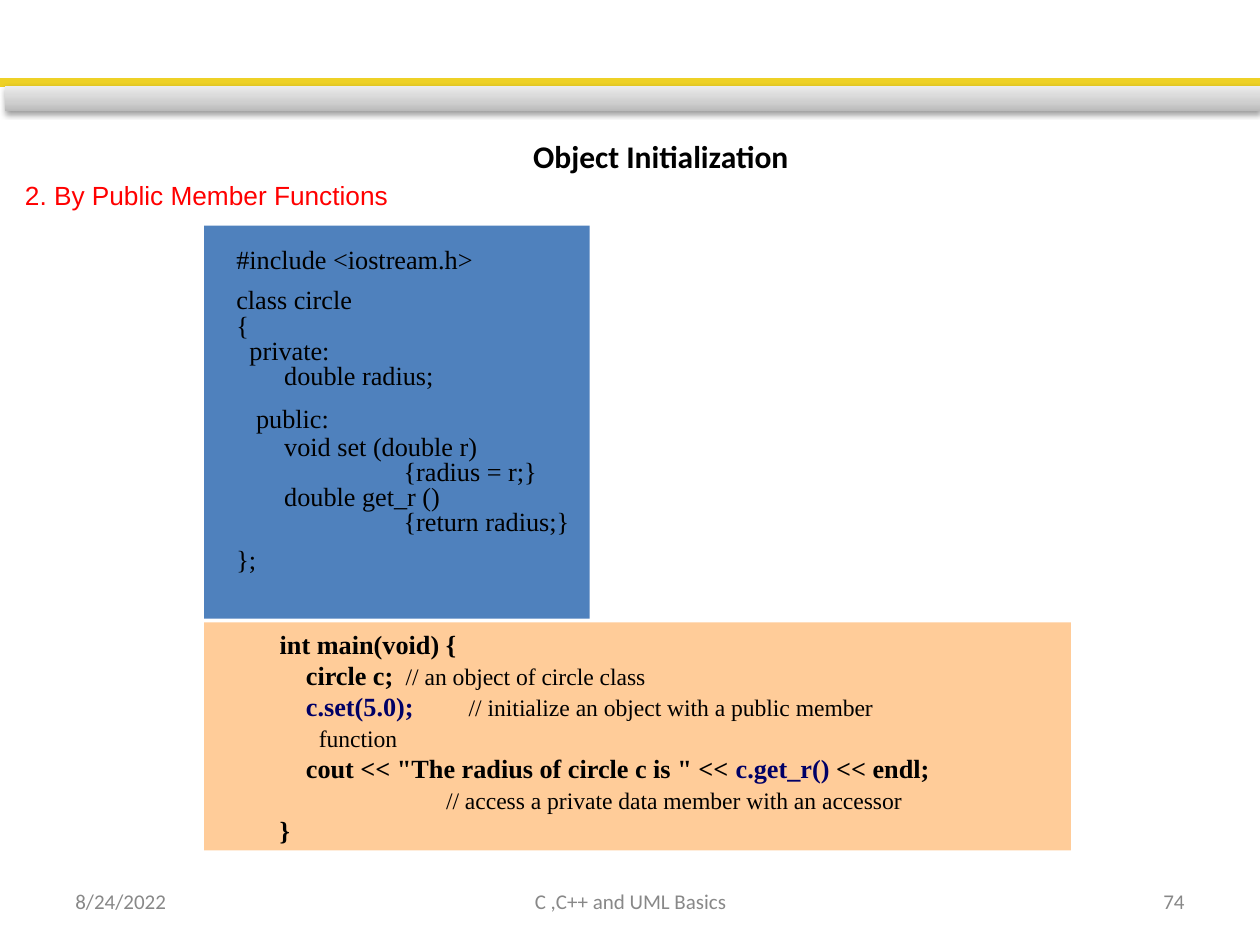
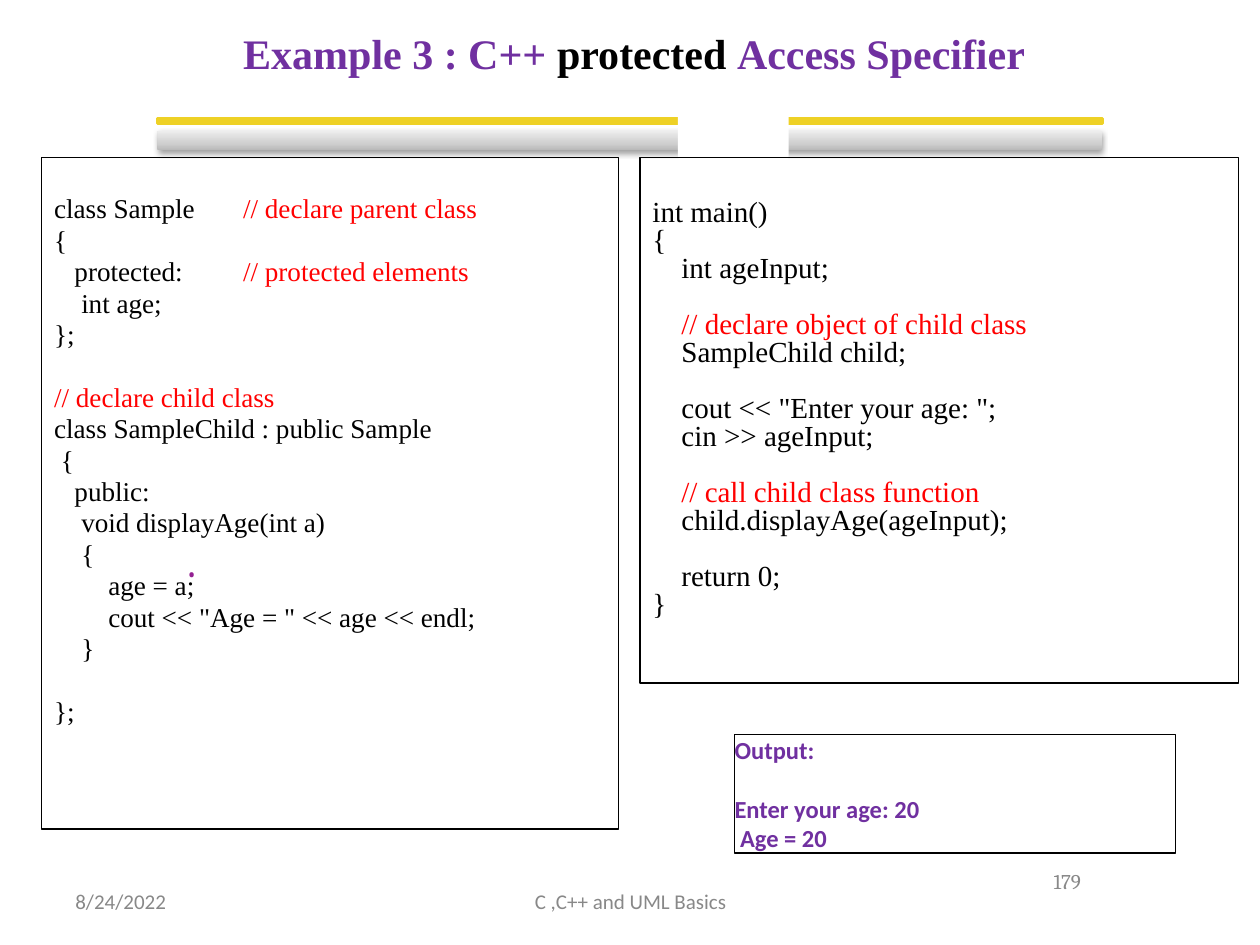
from lxml import etree
from pptx import Presentation, util as u
from pptx.dml.color import RGBColor
from pptx.enum import shapes, text
from pptx.oxml import parse_xml
from pptx.oxml.ns import nsdecls, qn

WIDE, HIGH = u.Inches(10), u.Inches(7.5)
RECT, ROUND = shapes.MSO_SHAPE.RECTANGLE, shapes.MSO_SHAPE.ROUNDED_RECTANGLE
LEFT, MID, RIGHT = text.PP_ALIGN.LEFT, text.PP_ALIGN.CENTER, text.PP_ALIGN.RIGHT
TOP, CENTER = text.MSO_ANCHOR.TOP, text.MSO_ANCHOR.MIDDLE
BLACK, WHITE, RED, GOLD = "000000", "FFFFFF", "FF0000", "EED126"
BLUE, PEACH, NAVY, PLUM, GREY = "4F81BD", "FFCC99", "000066", "7030A0", "888888"
SERIF, SANS = "Times New Roman", "Calibri"
PAD = (0.1, 0.05, 0.1, 0.05)
BARE = (0, 0, 0, 0)
NOTE = {"color": BLACK, "size": 13.5, "bold": False}
CALL = {"color": NAVY}
HINT = {"color": RED}

CLASS = [
    {"runs": "   #include <iostream.h>"},
    {"runs": "   class circle", "gap": 8.5},
    {"runs": "   {", "gap": 0.5},
    {"runs": "     private:"},
    {"runs": "   double radius;", "left": 0.38},
    {"runs": [("     ", {"size": 18}), ("public:", {})], "gap": 10.8},
    {"runs": "   void set (double r)", "left": 0.38, "gap": 1},
    {"runs": "  {radius = r;}", "left": 1.38},
    {"runs": "   double get_r ()", "left": 0.38},
    {"runs": "  {return radius;}", "left": 1.38},
    {"runs": "   };", "gap": 7.4},
]
MAIN = [
    {"runs": "int main(void) {"},
    {"runs": [("    circle c;\t", {}), ("// an object of circle class", NOTE)], "tab": 2.32},
    {"runs": [("    ", {}), ("c.set(5.0);\t", CALL),
              ("// initialize an object with a public member", NOTE)], "tab": 2.32},
    {"runs": [("function", NOTE)], "left": 0.31},
    {"runs": [("    cout << \"The radius of circle c is \" << ", {}),
              ("c.get_r()", CALL), (" << endl;", {})]},
    {"runs": [("// access a private data member with an accessor", NOTE)], "left": 1.32},
    {"runs": "}"},
]
CHILD = [
    {"runs": [("class Sample\t", {}), ("// declare parent class", HINT)], "tab": 1.71},
    {"runs": "{"},
    {"runs": [("   protected:\t", {}), ("// protected elements", HINT)], "tab": 1.56},
    {"runs": "    int age;"},
    {"runs": "};"},
    {"runs": [("// declare child class", HINT)], "gap": 17.95},
    {"runs": "class SampleChild : public Sample"},
    {"runs": " {"},
    {"runs": "   public:"},
    {"runs": "    void displayAge(int a)"},
    {"runs": "    {"},
    {"runs": "        age = a;"},
    {"runs": "        cout << \"Age = \" << age << endl;"},
    {"runs": "    }"},
    {"runs": "};", "gap": 17.95},
]
DRIVE = [
    {"runs": "int main()"},
    {"runs": "{"},
    {"runs": "    int ageInput;"},
    {"runs": [("    // declare object of child class", HINT)], "gap": 16},
    {"runs": "    SampleChild child;"},
    {"runs": "    cout << \"Enter your age: \";", "gap": 16},
    {"runs": "    cin >> ageInput;"},
    {"runs": [("    // call child class function", HINT)], "gap": 16},
    {"runs": "    child.displayAge(ageInput);"},
    {"runs": "    return 0;", "gap": 16},
    {"runs": "}"},
]
RESULT = [
    {"runs": "Output:"},
    {"runs": "Enter your age: 20", "gap": 17},
    {"runs": " Age = 20"},
]


def tint(code):
    return RGBColor.from_string(code)


def area(left, top, width, height):
    return [int(WIDE * left / 100), int(HIGH * top / 100),
            int(WIDE * width / 100), int(HIGH * height / 100)]


def place(item, spot):
    for name, size in zip(("left", "top", "width", "height"), area(*spot)):
        setattr(item, name, size)
    return item


def paint(item, fill=None, line=None, weight=0.75):
    if fill:
        item.fill.solid()
        item.fill.fore_color.rgb = tint(fill)
    else:
        item.fill.background()
    if line:
        item.line.color.rgb = tint(line)
        item.line.width = u.Pt(weight)
    else:
        item.line.fill.background()
    return item


def block(slide, spot, kind=RECT, **look):
    item = slide.shapes.add_shape(kind, *area(*spot))
    item.shadow.inherit = False
    return paint(item, **look)


def style(font, form):
    for name, value in form.items():
        if name == "color":
            font.color.rgb = tint(value)
        else:
            setattr(font, name, u.Pt(value) if name == "size" else value)


def layout(para, left, tab):
    props = para._p.get_or_add_pPr()
    props.set("marL", str(u.Inches(left)))
    props.set("indent", "0")
    etree.SubElement(props, qn("a:buNone"))
    if tab:
        stops = etree.SubElement(props, qn("a:tabLst"))
        etree.SubElement(stops, qn("a:tab"), pos=str(u.Inches(tab)), algn="l")


def write(item, lines, form, align=LEFT, anchor=TOP, pad=PAD, pitch=None):
    frame = item.text_frame
    frame.word_wrap = True
    frame.auto_size = text.MSO_AUTO_SIZE.NONE
    frame.vertical_anchor = anchor
    for side, size in zip(("left", "top", "right", "bottom"), pad):
        setattr(frame, "margin_" + side, u.Inches(size))
    for rank, line in enumerate(lines):
        para = frame.paragraphs[0] if rank == 0 else frame.add_paragraph()
        layout(para, line.get("left", 0), line.get("tab"))
        para.alignment = align
        para.space_before = u.Pt(line.get("gap", 0))
        para.line_spacing = u.Pt(pitch) if pitch else 1.0
        runs = line["runs"]
        for words, extra in [(runs, {})] if isinstance(runs, str) else runs:
            run = para.add_run()
            run.text = words
            style(run.font, {**form, **extra})


def face(name, size, color=BLACK, bold=False):
    return {"name": name, "size": size, "color": color, "bold": bold}


def label(slide, spot, words, form, **rest):
    item = slide.shapes.add_textbox(*area(*spot))
    write(item, [{"runs": words}], form, **rest)


def bands(slide, thin, thick):
    block(slide, thin, fill=GOLD, line=GOLD, weight=2)
    bar = block(slide, thick, fill=WHITE)
    stops = "".join(f'<a:gs pos="{pos}000"><a:srgbClr val="{code}"/></a:gs>'
                    for pos, code in ((0, "BABABA"), (35, "CFCFCF"), (100, "EDEDED")))
    props = bar._element.spPr
    props.replace(props.find(qn("a:solidFill")), parse_xml(
        f'<a:gradFill {nsdecls("a")} rotWithShape="1"><a:gsLst>{stops}</a:gsLst>'
        '<a:lin ang="16200000" scaled="0"/></a:gradFill>'))
    props.replace(props.find(qn("a:effectLst")), parse_xml(
        f'<a:effectLst {nsdecls("a")}><a:outerShdw blurRad="{u.Pt(3.1)}" '
        f'dist="{u.Pt(1.6)}" dir="5400000" rotWithShape="0"><a:srgbClr val="{BLACK}">'
        '<a:alpha val="38000"/></a:srgbClr></a:outerShdw></a:effectLst>'))


def footer(slide):
    form = face(SANS, 12, GREY)
    label(slide, (5, 92.67, 23.3, 5.33), "8/24/2022", form, anchor=CENTER)
    label(slide, (34.2, 92.67, 31.7, 5.33), "C ,C++ and UML Basics", form,
          align=MID, anchor=CENTER)


def start(deck, head, body):
    slide = deck.slides.add_slide(deck.slide_layouts[1])
    return slide, place(slide.shapes.title, head), place(slide.placeholders[1], body)


def member(deck):
    slide, title, code = start(deck, (18.7, 12.53, 67.5, 7.87), (16.2, 23.87, 30.6, 41.6))
    write(title, [{"runs": "Object Initialization"}], face(SANS, 18, bold=True),
          align=MID, anchor=CENTER)
    paint(code, BLUE)
    write(code, CLASS, face(SERIF, 15), pad=(0.1, 0.19, 0.1, 0.05), pitch=14.35)
    main_box = block(slide, (16.2, 65.87, 68.8, 24.13), fill=PEACH)
    write(main_box, MAIN, face(SERIF, 15, bold=True), pad=(0.6, 0.05, 0.1, 0.05), pitch=17.7)
    label(slide, (1, 18.27, 40, 4.67), "2. By Public Member Functions", face("Arial", 15, RED))
    bands(slide, (0, 8.4, 100, 0.67), (0.4, 9.07, 99.6, 2.67))
    footer(slide)
    label(slide, (71.7, 92.67, 23.3, 5.33), "74", face(SANS, 12, GREY),
          align=RIGHT, anchor=CENTER)


def access(deck):
    slide, title, code = start(deck, (18.3, 2.27, 65.8, 6.67), (3.3, 16.67, 45.8, 71.07))
    heads = [("Example 3 : C++ ", {}), ("protected ", {"color": BLACK}), ("Access Specifier", {})]
    write(title, [{"runs": heads}], face(SERIF, 24, PLUM, True))
    paint(code, line=BLACK)
    write(code, CHILD, face(SERIF, 15.5), pad=(0.1, 0.28, 0.1, 0.05), pitch=17.95)
    label(slide, (14.9, 59.47, 0.7, 2.53), "•", face("Cambria", 10.5, "942192", True), pad=BARE)
    bands(slide, (12.5, 12.53, 75, 0.53), (12.5, 13.87, 75, 2))
    block(slide, (53.8, 10.8, 8.8, 6.67), ROUND, fill=WHITE)
    drive = block(slide, (50.8, 16.67, 47.5, 55.6), line=BLACK)
    write(drive, DRIVE, face(SERIF, 16.6), pad=(0.1, 0.34, 0.1, 0.05), pitch=16)
    result = block(slide, (58.3, 77.73, 35, 12.53), fill=WHITE, line=BLACK)
    write(result, RESULT, face(SANS, 14, PLUM, True), anchor=CENTER, pad=BARE)
    label(slide, (68.3, 92.27, 17.5, 1.87), "179", face("Cambria", 12, "898989"),
          align=RIGHT, anchor=CENTER, pad=BARE)
    footer(slide)


def main():
    deck = Presentation()
    deck.slide_width, deck.slide_height = WIDE, HIGH
    member(deck)
    access(deck)
    deck.save("out.pptx")


if __name__ == "__main__":
    main()
